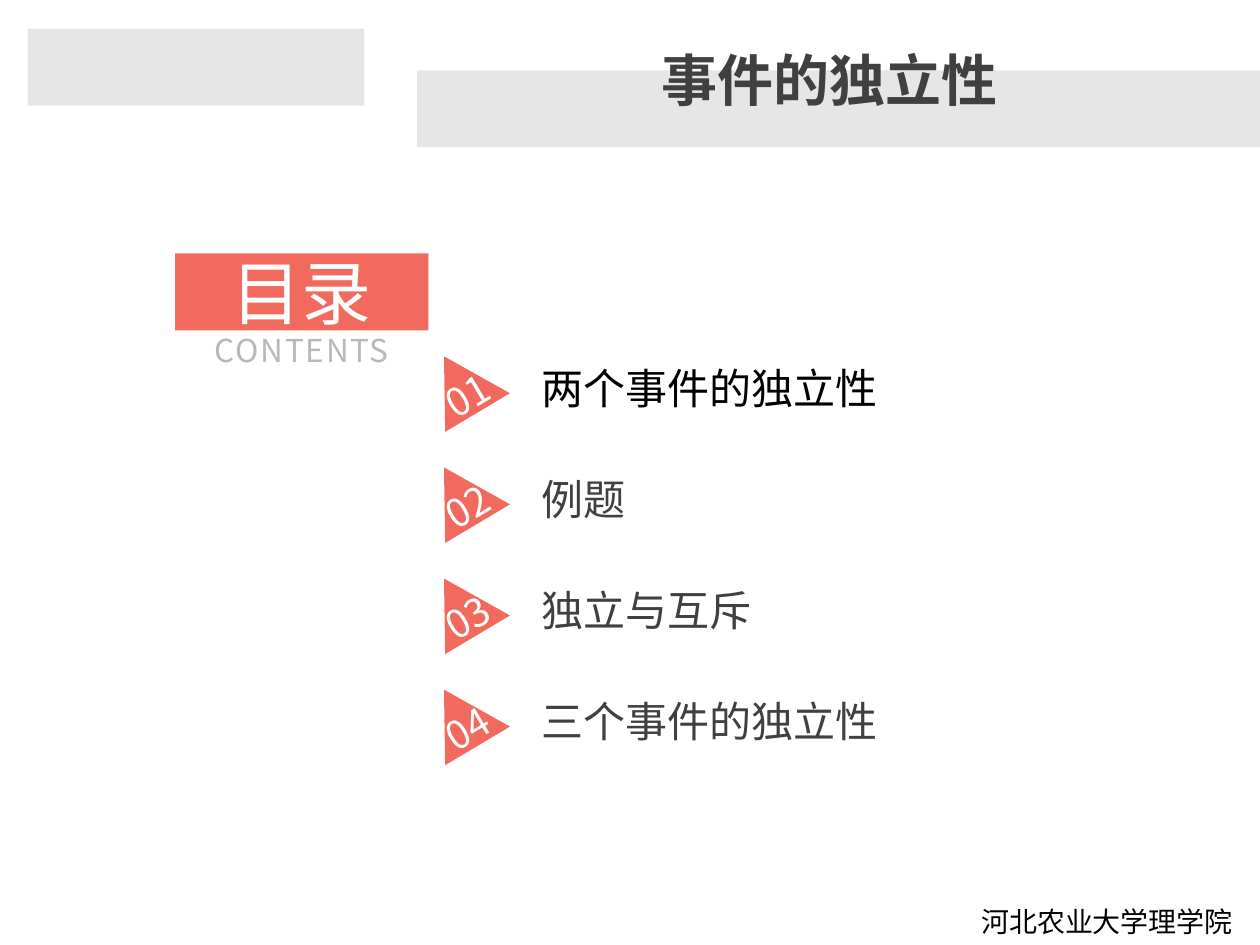
"""Build a contents slide with four numbered topics."""
from lxml.etree import SubElement
from pptx import Presentation
from pptx.dml.color import RGBColor
from pptx.enum.shapes import MSO_SHAPE
from pptx.enum.text import MSO_ANCHOR, PP_ALIGN
from pptx.oxml.ns import qn
from pptx.util import Cm, Pt

FONT = "Noto Sans CJK SC"
HUES = {"band": "E6E6E6", "coral": "F2695E", "white": "FFFFFF",
        "black": "000000", "dark": "404040", "gray": "B8B8B8"}
BANDS = [(8.41, 1.42, 16.99, 1.55), (0.56, 0.58, 6.78, 1.55)]
TOPICS = [("两个事件的独立性", "black"), ("例题", "dark"),
          ("独立与互斥", "dark"), ("三个事件的独立性", "dark")]
TOP, PITCH = 7.19, 2.24
PAD = (0.25, 0.13, 0.25, 0.13)


def color(name):
    return RGBColor.from_string(HUES[name])


def paint(shape, hue):
    shape.shadow.inherit = False
    shape.fill.solid()
    shape.fill.fore_color.rgb = color(hue)
    shape.line.fill.background()
    return shape


def write(shape, text, size, hue, align=PP_ALIGN.CENTER, pad=(0, 0, 0, 0),
          anchor=MSO_ANCHOR.MIDDLE, bold=False, track=0):
    frame = shape.text_frame
    frame.word_wrap = True
    frame.vertical_anchor = anchor
    (frame.margin_left, frame.margin_top,
     frame.margin_right, frame.margin_bottom) = map(Cm, pad)
    para = frame.paragraphs[0]
    para.alignment = align
    run = para.add_run()
    run.text = text
    font = para.font
    font.name, font.size, font.bold = FONT, Pt(size), bold
    font.color.rgb = color(hue)
    props = run.font._element if hasattr(run.font, "_element") else run._r.get_or_add_rPr()
    SubElement(props, qn("a:ea"), typeface=FONT)
    if track:
        props.set("spc", str(track * 100))


def bar(slide, box, hue):
    return paint(slide.shapes.add_shape(MSO_SHAPE.RECTANGLE, *map(Cm, box)), hue)


def label(slide, box, *args, **style):
    write(slide.shapes.add_textbox(*map(Cm, box)), *args, **style)


def marker(slide, top, text):
    left, wide, high = 8.53, 1.52, 1.32
    pen = slide.shapes.build_freeform(Cm(left + wide / 2), Cm(top))
    pen.add_line_segments([(Cm(left + wide), Cm(top + high)),
                           (Cm(left), Cm(top + high))], close=True)
    shape = paint(pen.convert_to_shape(), "coral")
    shape.rotation = 329.2
    write(shape, text, 22.2, "white", pad=(0, 0.51, 0, 0))


def main():
    deck = Presentation()
    deck.slide_width, deck.slide_height = Cm(25.4), Cm(19.05)
    slide = deck.slides.add_slide(deck.slide_layouts[6])
    for box in BANDS:
        bar(slide, box, "band")
    label(slide, (11.1, 18.11, 14, 0.94), "河北农业大学理学院", 16, "black",
          align=PP_ALIGN.RIGHT, pad=PAD, anchor=MSO_ANCHOR.TOP)
    write(bar(slide, (3.53, 5.11, 5.11, 1.55), "coral"), "目录", 40, "white")
    label(slide, (3.53, 6.68, 5.11, 1.35), "CONTENTS", 18, "gray",
          anchor=MSO_ANCHOR.TOP, track=1)
    for i, (topic, hue) in enumerate(TOPICS):
        top = TOP + i * PITCH
        label(slide, (10.92, top, 10.29, 1.24), topic, 24, hue, align=PP_ALIGN.LEFT)
        marker(slide, top - 0.1, f"{i + 1:02}")
    label(slide, (1.78, 0, 18.59, 3.18), "事件的独立性", 32, "dark",
          align=PP_ALIGN.RIGHT, pad=PAD, bold=True)
    deck.save("out.pptx")


if __name__ == "__main__":
    main()
